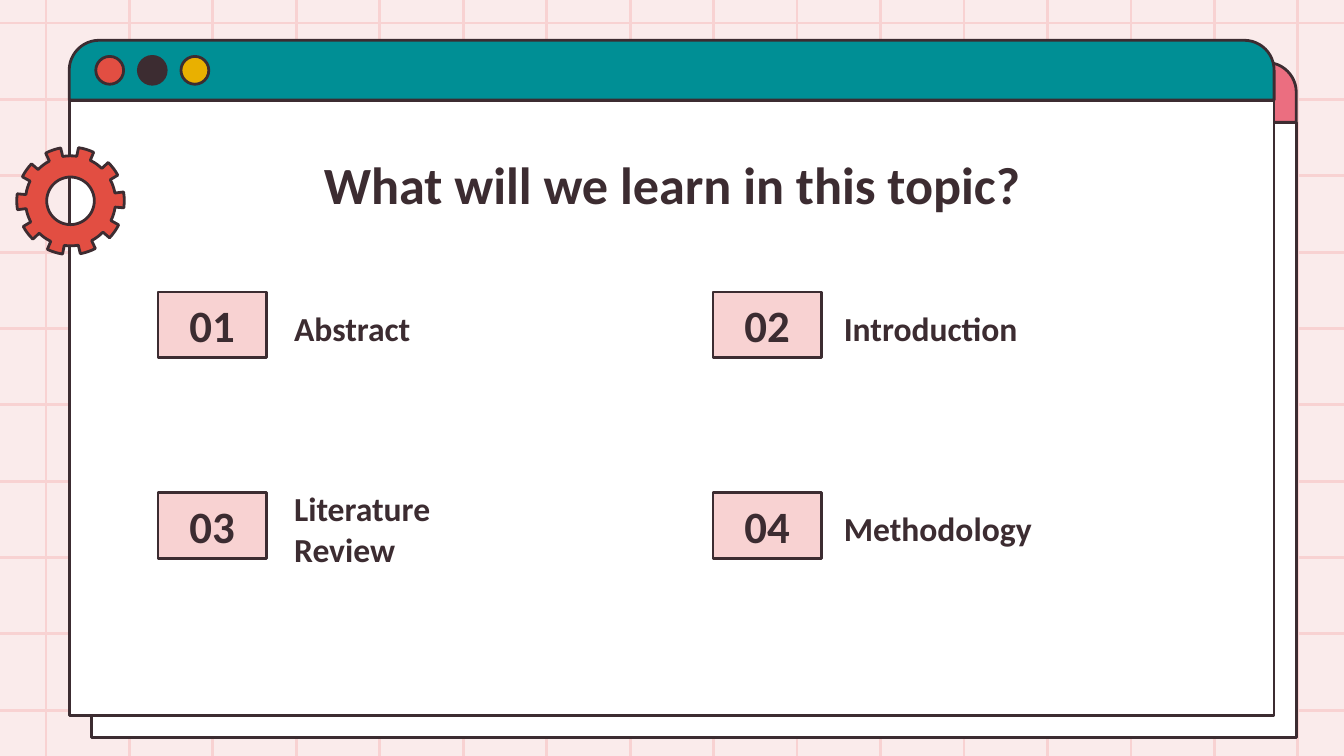
from dataclasses import dataclass
from math import cos, radians, sin

from lxml.etree import SubElement
from pptx import Presentation
from pptx.dml.color import RGBColor
from pptx.enum.shapes import MSO_CONNECTOR, MSO_SHAPE as Preset
from pptx.enum.text import MSO_ANCHOR as Anchor, PP_ALIGN as Align
from pptx.oxml.ns import qn
from pptx.util import Inches, Pt

INK = RGBColor(0x3C, 0x2C, 0x31)
BLUSH = RGBColor(0xFA, 0xEB, 0xEB)
PINK = RGBColor(0xF8, 0xD2, 0xD2)
ROSE = RGBColor(0xEB, 0x6E, 0x80)
TEAL = RGBColor(0x00, 0x8F, 0x95)
RED = RGBColor(0xE2, 0x4E, 0x42)
YELLOW = RGBColor(0xE9, 0xB0, 0x00)
WHITE = RGBColor(0xFF, 0xFF, 0xFF)

FONT = "Calibri"
STROKE = Pt(1.5)

# Every length is a share of the slide width, in percent
WIDTH, HEIGHT = 100, 56.25
SLIDE_WIDTH = Inches(10)


def share(percent: float) -> int:
    return round(SLIDE_WIDTH * percent / 100)


@dataclass(frozen=True)
class Area:
    left: float
    top: float
    width: float
    height: float

    def box(self) -> tuple[int, ...]:
        return tuple(map(share, (self.left, self.top, self.width, self.height)))


@dataclass(frozen=True)
class Window:
    left: float
    top: float
    bar_color: RGBColor


@dataclass(frozen=True)
class Topic:
    number: str
    name: str
    column: int
    row: int


WINDOWS = [Window(6.8, 4.65, ROSE), Window(5.15, 3, TEAL)]
WINDOW_WIDTH, BAR_HEIGHT, PAGE_HEIGHT = 89.65, 4.45, 45.8
BUTTON_COLORS = [RED, INK, YELLOW]
BUTTON_SIZE, BUTTON_STEP = 2.07, 3.17

TOPICS = [
    Topic("01", "Abstract", 0, 0),
    Topic("02", "Introduction", 1, 0),
    Topic("03", "Literature\nReview", 0, 1),
    Topic("04", "Methodology", 1, 1),
]
BADGE_LEFTS, LABEL_LEFTS = (11.75, 53.05), (20.9, 61.8)
ROW_TOPS = (21.73, 36.65)
LINE_HEIGHT = 3.05


def paint(shape, fill: RGBColor) -> None:
    shape.shadow.inherit = False
    shape.fill.solid()
    shape.fill.fore_color.rgb = fill
    shape.line.color.rgb = INK
    shape.line.width = STROKE


def add_preset(shapes, preset: Preset, area: Area, fill: RGBColor):
    shape = shapes.add_shape(preset, *area.box())
    paint(shape, fill)
    return shape


def write(shape, text: str, size: int, align: Align, anchor: Anchor) -> None:
    frame = shape.text_frame
    frame.text = text
    frame.word_wrap = True
    frame.vertical_anchor = anchor
    frame.margin_left = frame.margin_right = share(1)
    frame.margin_top = frame.margin_bottom = share(1)
    for paragraph in frame.paragraphs:
        paragraph.alignment = align
        for run in paragraph.runs:
            run.font.name = FONT
            run.font.size = Pt(size)
            run.font.bold = True
            run.font.color.rgb = INK


def add_grid_line(shapes, x1: float, y1: float, x2: float, y2: float) -> None:
    line = shapes.add_connector(MSO_CONNECTOR.STRAIGHT, *map(share, (x1, y1, x2, y2)))
    line.line.color.rgb = PINK
    line.line.width = STROKE
    SubElement(line._element.spPr, qn("a:effectLst"))


def add_background_grid(shapes) -> None:
    for column in range(16):
        x = 3.42 + 6.21 * column
        add_grid_line(shapes, x, HEIGHT, x, 0)
    for row in range(10):
        y = 1.72 + 5.68 * row
        add_grid_line(shapes, 0, y, WIDTH, y)


def add_window(shapes, window: Window) -> None:
    page = Area(window.left, window.top + BAR_HEIGHT, WINDOW_WIDTH, PAGE_HEIGHT)
    add_preset(shapes, Preset.RECTANGLE, page, WHITE)
    bar = Area(window.left, window.top, WINDOW_WIDTH, BAR_HEIGHT)
    title_bar = add_preset(shapes, Preset.ROUND_2_SAME_RECTANGLE, bar, window.bar_color)
    title_bar.adjustments[0] = 0.5
    for index, color in enumerate(BUTTON_COLORS):
        left = window.left + 1.98 + index * BUTTON_STEP
        button = Area(left, window.top + 1.2, BUTTON_SIZE, BUTTON_SIZE)
        add_preset(shapes, Preset.OVAL, button, color)


def add_topic(shapes, topic: Topic) -> None:
    top = ROW_TOPS[topic.row]
    badge = Area(BADGE_LEFTS[topic.column], top, 8.05, 4.9)
    write(add_preset(shapes, Preset.RECTANGLE, badge, PINK),
          topic.number, 24, Align.CENTER, Anchor.MIDDLE)
    # A second line of text moves the label down by half a line
    extra_lines = topic.name.count("\n")
    label_top = top - LINE_HEIGHT + extra_lines * LINE_HEIGHT / 2
    label = Area(LABEL_LEFTS[topic.column], label_top, 26, 8.2)
    write(shapes.add_textbox(*label.box()),
          topic.name, 18, Align.LEFT, Anchor.BOTTOM)


def add_gear(shapes, x: float, y: float) -> None:
    def polar(radius: float, degrees: float) -> tuple[int, int]:
        angle = radians(degrees)
        return share(x + radius * cos(angle)), share(y + radius * sin(angle))

    tip, root, hole, teeth = 4, 3.35, 1.77, 10
    pitch = 360 / teeth
    rim = []
    for tooth in range(teeth):
        middle = tooth * pitch - 1
        rim += [polar(tip, middle + turn) for turn in (-8.5, -4, 0, 4, 8.5)]
        rim += [polar(root, middle + turn) for turn in (9, 14, 18, 22, 27)]
    opening = [polar(hole, -turn) for turn in range(0, 360, 6)]

    builder = shapes.build_freeform(*rim[0])
    builder.add_line_segments(rim[1:], close=True)
    builder.move_to(*opening[0])
    builder.add_line_segments(opening[1:], close=True)
    paint(builder.convert_to_shape(), RED)


def main() -> None:
    deck = Presentation()
    deck.slide_width, deck.slide_height = SLIDE_WIDTH, share(HEIGHT)
    slide = deck.slides.add_slide(deck.slide_layouts[6])
    slide.background.fill.solid()
    slide.background.fill.fore_color.rgb = BLUSH
    shapes = slide.shapes

    # Backdrop: grid paper and two stacked windows
    add_background_grid(shapes)
    for window in WINDOWS:
        add_window(shapes, window)

    # Heading and numbered topics
    heading = shapes.add_textbox(*Area(9.8, 10.3, 80.4, 6.3).box())
    write(heading, "What will we learn in this topic?", 28, Align.CENTER, Anchor.TOP)
    for topic in TOPICS:
        add_topic(shapes, topic)

    # Gear on the window edge
    add_gear(shapes, 5.25, 14.95)
    deck.save("out.pptx")


if __name__ == "__main__":
    main()
